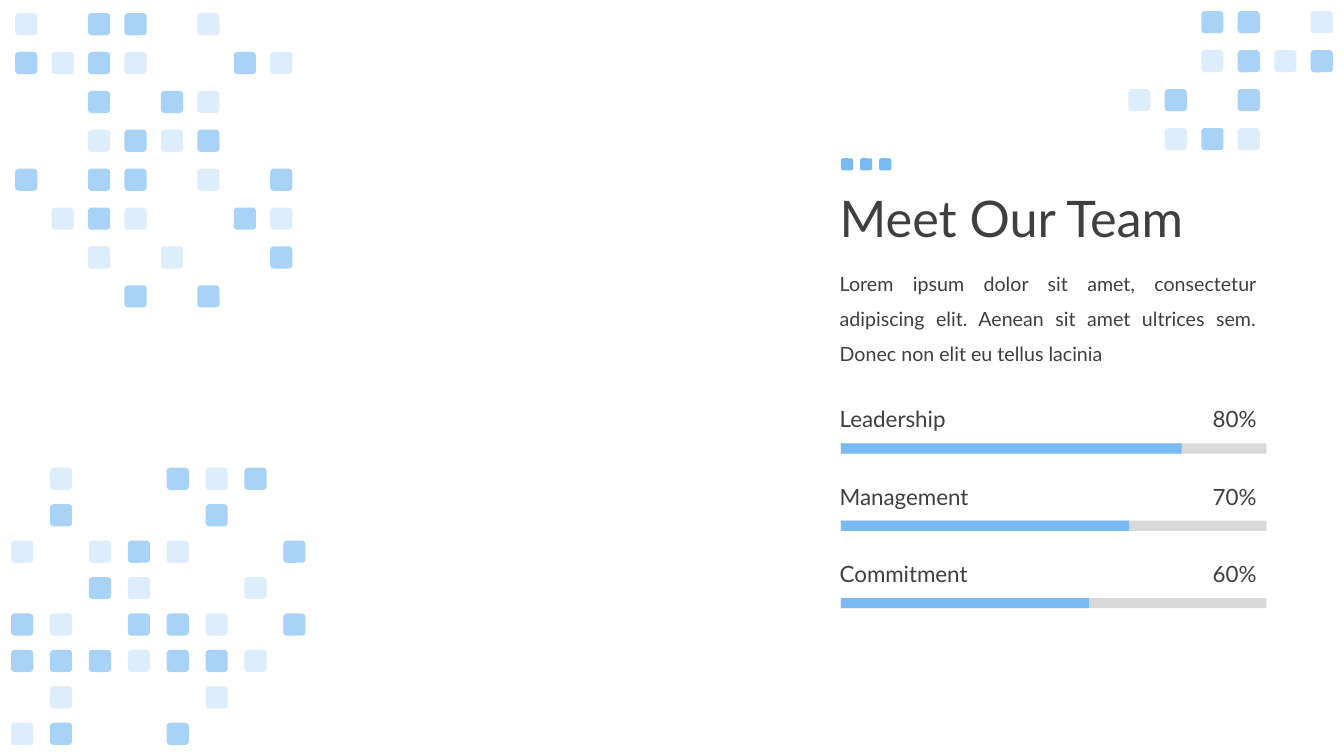
from lxml import etree
from pptx import Presentation
from pptx.dml.color import RGBColor as Rgb
from pptx.enum.shapes import MSO_SHAPE as Kind
from pptx.enum.text import MSO_ANCHOR as Anchor, PP_ALIGN as Align
from pptx.oxml.ns import qn
from pptx.util import Inches, Pt

HUES = {"blue": "7ABAF2", "grey": "D9D9D9", "ink": "3F3F3F"}
FONT = "Lato"
WIDE, HIGH = Inches(13.33), Inches(7.5)
COL, ROW = WIDE / 1333, HIGH / 750
TILE = 22
ALPHA = {"o": 25, "#": 65}

NORTH = ["o.##.o..", "#o#o..#o", "..#.#o..", "..o#o#..",
         "#.##.o.#", ".o#o..#o", "..o.o..#", "...#.#.."]
SOUTH = [".o..#o#.", ".#...#..", "o.o#o..#", "..#o..o.",
         "#o.##o.#", "###o##o.", ".o...o..", "o#..#..."]
EAST = ["..##.o", "..o#o#", "o#.#..", ".o#o.."]
SKILLS = [("Leadership", "80%", 338), ("Management", "70%", 286),
          ("Commitment", "60%", 246)]
LOREM = ("Lorem ipsum dolor sit amet, consectetur adipiscing elit. "
         "Aenean sit amet ultrices sem. Donec non elit eu tellus lacinia")


def place(x, y, w, h):
    return round(x * COL), round(y * ROW), round(w * COL), round(h * ROW)


def add_block(shapes, kind, box, hue, alpha=100):
    block = shapes.add_shape(kind, *place(*box))
    block.shadow.inherit = False
    block.line.fill.background()
    block.fill.solid()
    block.fill.fore_color.rgb = Rgb.from_string(HUES[hue])
    if alpha < 100:
        color = block.fill._xPr.find(qn("a:solidFill"))[0]
        etree.SubElement(color, qn("a:alpha"), val=str(alpha * 1000))


def add_text(shapes, box, text, size, align=Align.LEFT,
             anchor=Anchor.MIDDLE, space=1.0):
    frame = shapes.add_textbox(*place(*box)).text_frame
    frame.word_wrap = True
    frame.vertical_anchor = anchor
    frame.text = text
    para = frame.paragraphs[0]
    para.alignment = align
    para.line_spacing = space
    font = para.runs[0].font
    font.name, font.size = FONT, Pt(size)
    font.color.rgb = Rgb.from_string(HUES["ink"])


def add_tiles(slide, box, rows):
    x, y, w, h = box
    across = (w - TILE) / (len(rows[0]) - 1)
    down = (h - TILE) / (len(rows) - 1)
    group = slide.shapes.add_group_shape()
    for r, row in enumerate(rows):
        for c, mark in enumerate(row):
            if mark in ALPHA:
                spot = (x + c * across, y + r * down, TILE, TILE)
                add_block(group.shapes, Kind.ROUNDED_RECTANGLE, spot,
                          "blue", ALPHA[mark])


def add_intro(slide, box):
    x, y, w, h = box
    add_text(slide.shapes, (x, y, w, 145), "Meet Our Team", 36, space=0.9)
    add_text(slide.shapes, (x, y + 106, w, h - 106), LOREM, 14,
             Align.JUSTIFY, Anchor.TOP, 1.5)
    group = slide.shapes.add_group_shape()
    for i in range(3):
        add_block(group.shapes, Kind.ROUNDED_RECTANGLE,
                  (x + 11 + i * 19, y + 10, 12, 12), "blue")


def add_skills(slide, box):
    x, y, w, h = box
    step = h / len(SKILLS)
    for i, (name, score, done) in enumerate(SKILLS):
        top = y + i * step
        add_text(slide.shapes, (x, top, 207, 37), name, 16)
        add_text(slide.shapes, (x + w - 106, top, 106, 37), score, 16,
                 Align.RIGHT)
        for span, hue in ((w - 11, "grey"), (done, "blue")):
            add_block(slide.shapes, Kind.RECTANGLE,
                      (x + 11, top + 43, span, 10), hue)


def main():
    deck = Presentation()
    deck.slide_width, deck.slide_height = WIDE, HIGH
    slide = deck.slides.add_slide(deck.slide_layouts[6])
    add_tiles(slide, (15, 13, 275, 292), NORTH)
    add_tiles(slide, (11, 464, 292, 275), SOUTH)
    add_intro(slide, (823, 147, 433, 217))
    add_skills(slide, (823, 397, 433, 230))
    add_tiles(slide, (1119, 11, 203, 138), EAST)
    deck.save("out.pptx")


if __name__ == "__main__":
    main()
